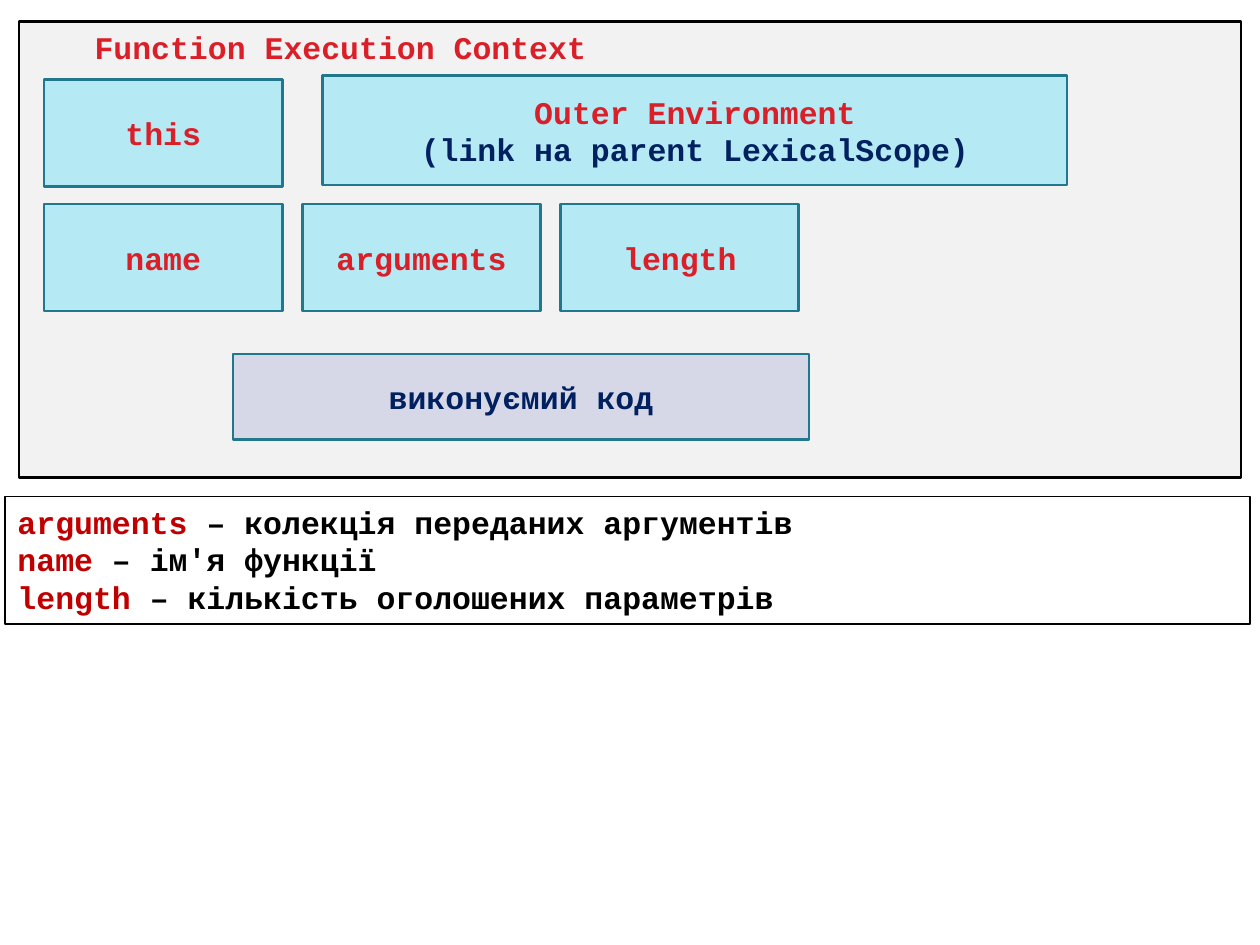
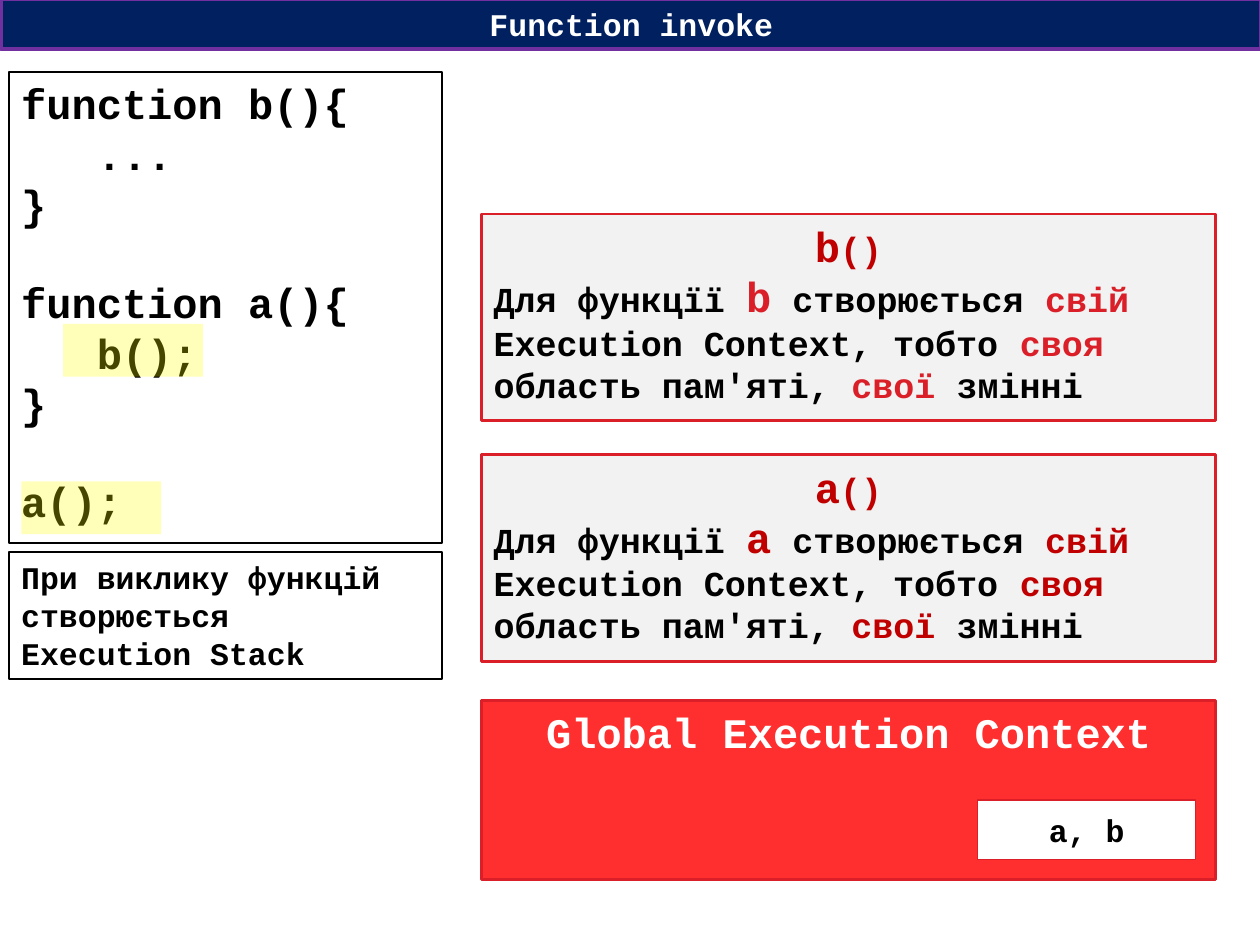
from dataclasses import dataclass

from lxml import etree
from pptx import Presentation
from pptx.dml.color import RGBColor
from pptx.enum import shapes, text
from pptx.oxml import ns
from pptx.util import Inches, Pt


@dataclass(frozen=True)
class Theme:
    font: str = "Courier New"
    small: int = 18
    medium: int = 20
    large: int = 24
    black: str = "000000"
    white: str = "FFFFFF"
    navy: str = "002060"
    red: str = "DA1F28"
    dark_red: str = "C00000"
    bright_red: str = "FF2F2F"
    grey: str = "F2F2F2"
    cyan: str = "B5E9F4"
    teal: str = "21788D"
    lavender: str = "D7D8E7"
    purple: str = "7030A0"
    yellow: str = "FFFF00"


T = Theme()
CENTER, LEFT = text.PP_ALIGN.CENTER, text.PP_ALIGN.LEFT
TOP, MIDDLE = text.MSO_ANCHOR.TOP, text.MSO_ANCHOR.MIDDLE

# Content: a line is a list of runs (text, colour[, size]).
CONTEXT_TITLE = "Function Execution Context"
OUTER_ENVIRONMENT = [
    [("Outer Environment", T.red)],
    [("(link на parent LexicalScope)", T.navy)],
]
EXECUTED_CODE = "виконуємий код"
FUNCTION_PROPERTIES = ["name", "arguments", "length"]
DEFINITIONS = [
    ("arguments", "колекція переданих аргументів"),
    ("name", "ім'я функції"),
    ("length", "кількість оголошених параметрів"),
]

INVOKE_TITLE = "Function invoke"
CODE_BLOCKS = [
    ["function b(){", "   ...", "}"],
    ["function a(){", "   b();", "}"],
    ["a();"],
]
CALL_HIGHLIGHTS = [(0.5, 2.57), (0.17, 3.82)]
STACK_NOTE = ["При виклику функцій", "створюється", "Execution Stack"]
STACK_FRAMES = [  # function, opening words, emphasis colour
    ("b", "Для функцїї ", T.red),
    ("a", "Для функції ", T.dark_red),
]
GLOBAL_TITLE = "Global Execution Context"
GLOBAL_NAMES = "a, b"

# Geometry in inches
CELL_LEFT, CELL_WIDTH, CELL_HEIGHT, CELL_STEP = 0.35, 1.89, 0.85, 2.05
STACK_LEFT, STACK_TOP, STACK_WIDTH = 3.82, 1.7, 5.83
FRAME_HEIGHT, FRAME_STEP = 1.64, 1.91
CODE_LINE = 27.2  # points, one line of large type


def paint(shape, fill, line=None, weight=1.5, opacity=100):
    shape.fill.solid()
    shape.fill.fore_color.rgb = RGBColor.from_string(fill)
    if opacity < 100:
        colour = shape.fill._xPr.find(".//" + ns.qn("a:srgbClr"))
        etree.SubElement(colour, ns.qn("a:alpha"), val=str(opacity * 1000))
    if line:
        shape.line.color.rgb = RGBColor.from_string(line)
        shape.line.width = Pt(weight)
    else:
        shape.line.fill.background()


def write(shape, lines, size=T.small, align=CENTER, anchor=MIDDLE):
    frame = shape.text_frame
    frame.word_wrap = True
    frame.auto_size = text.MSO_AUTO_SIZE.NONE
    frame.vertical_anchor = anchor
    for index, line in enumerate(lines):
        paragraph = frame.paragraphs[0] if index == 0 else frame.add_paragraph()
        paragraph.alignment = align
        for words, colour, *own_size in line:
            run = paragraph.add_run()
            run.text = words
            run.font.name = T.font
            run.font.bold = True
            run.font.size = Pt(own_size[0] if own_size else size)
            run.font.color.rgb = RGBColor.from_string(colour)


def plain(words, colour):
    return [[(words, colour)]]


def add_box(slide, at, fill, line=None, weight=1.5, opacity=100):
    box = slide.shapes.add_shape(shapes.MSO_SHAPE.RECTANGLE, *map(Inches, at))
    box.shadow.inherit = False
    paint(box, fill, line, weight, opacity)
    return box


def add_outlined(slide, at, lines, size=T.small):
    """Black-outlined, nearly transparent box with left-aligned text."""
    box = add_box(slide, at, T.white, T.black, 1, 7)
    write(box, lines, size, LEFT, TOP)
    return box


def add_titled_slide(deck, title, at, fill, line, weight, colour, align):
    slide = deck.slides.add_slide(deck.slide_layouts[5])
    heading = slide.shapes.title
    heading.left, heading.top, heading.width, heading.height = map(Inches, at)
    paint(heading, fill, line, weight)
    write(heading, plain(title, colour), T.small, align, TOP)
    return slide


def frame_lines(name, opening, accent):
    return [
        [(opening, T.black), (name, accent, T.large),
         (" створюється ", T.black), ("свій", accent)],
        [("Execution Context, тобто ", T.black), ("своя", accent)],
        [("область пам'яті, ", T.black), ("свої ", accent), ("змінні", T.black)],
    ]


def build_context_slide(deck):
    slide = add_titled_slide(deck, CONTEXT_TITLE, (0.15, 0.17, 9.7, 3.62),
                             T.grey, T.black, 1.5, T.red, LEFT)
    slide.shapes.title.text_frame.margin_left = Inches(0.6)

    cells = [("this", CELL_LEFT, 0.63)]
    cells += [(name, CELL_LEFT + column * CELL_STEP, 1.62)
              for column, name in enumerate(FUNCTION_PROPERTIES)]
    for name, left, top in cells:
        cell = add_box(slide, (left, top, CELL_WIDTH, CELL_HEIGHT), T.cyan, T.teal)
        write(cell, plain(name, T.red))

    outer = add_box(slide, (2.56, 0.6, 5.91, 0.87), T.cyan, T.teal)
    write(outer, OUTER_ENVIRONMENT)
    executed = add_box(slide, (1.85, 2.81, 4.57, 0.68), T.lavender, T.teal)
    write(executed, plain(EXECUTED_CODE, T.navy))
    add_outlined(slide, (0.04, 3.94, 9.88, 1.01),
                 [[(term, T.dark_red), (f" – {meaning}", T.black)]
                  for term, meaning in DEFINITIONS])


def build_invoke_slide(deck):
    slide = add_titled_slide(deck, INVOKE_TITLE, (0.01, -0.01, 10, 0.4),
                             T.navy, T.purple, 2.25, T.white, CENTER)

    code = add_outlined(slide, (0.07, 0.57, 3.44, 3.74),
                        [[(line, T.black)] for block in CODE_BLOCKS for line in block],
                        T.large)
    first_line = 0
    for block in CODE_BLOCKS[:-1]:
        first_line += len(block)
        code.text_frame.paragraphs[first_line].space_before = Pt(CODE_LINE)
    for left, top in CALL_HIGHLIGHTS:
        add_box(slide, (left, top, 1.11, 0.42), T.yellow, opacity=27)
    add_outlined(slide, (0.07, 4.38, 3.44, 1.01),
                 [[(line, T.black)] for line in STACK_NOTE])

    for row, (name, opening, accent) in enumerate(STACK_FRAMES):
        at = (STACK_LEFT, STACK_TOP + row * FRAME_STEP, STACK_WIDTH, FRAME_HEIGHT)
        frame = add_box(slide, at, T.grey, T.red)
        call = [(name, T.dark_red, T.large), ("()", T.dark_red)]
        write(frame, [call] + frame_lines(name, opening, accent), T.medium, LEFT, TOP)
        frame.text_frame.paragraphs[0].alignment = CENTER

    global_context = add_box(slide, (STACK_LEFT, 5.56, STACK_WIDTH, 1.42),
                             T.bright_red, T.red)
    write(global_context, plain(GLOBAL_TITLE, T.white), T.large, anchor=TOP)
    global_names = add_box(slide, (7.76, 6.35, 1.73, 0.47), T.white, T.red, 0.75)
    write(global_names, plain(GLOBAL_NAMES, T.black))


def main():
    deck = Presentation()
    deck.slide_width, deck.slide_height = Inches(10), Inches(7.5)
    build_context_slide(deck)
    build_invoke_slide(deck)
    deck.save("out.pptx")


if __name__ == "__main__":
    main()
